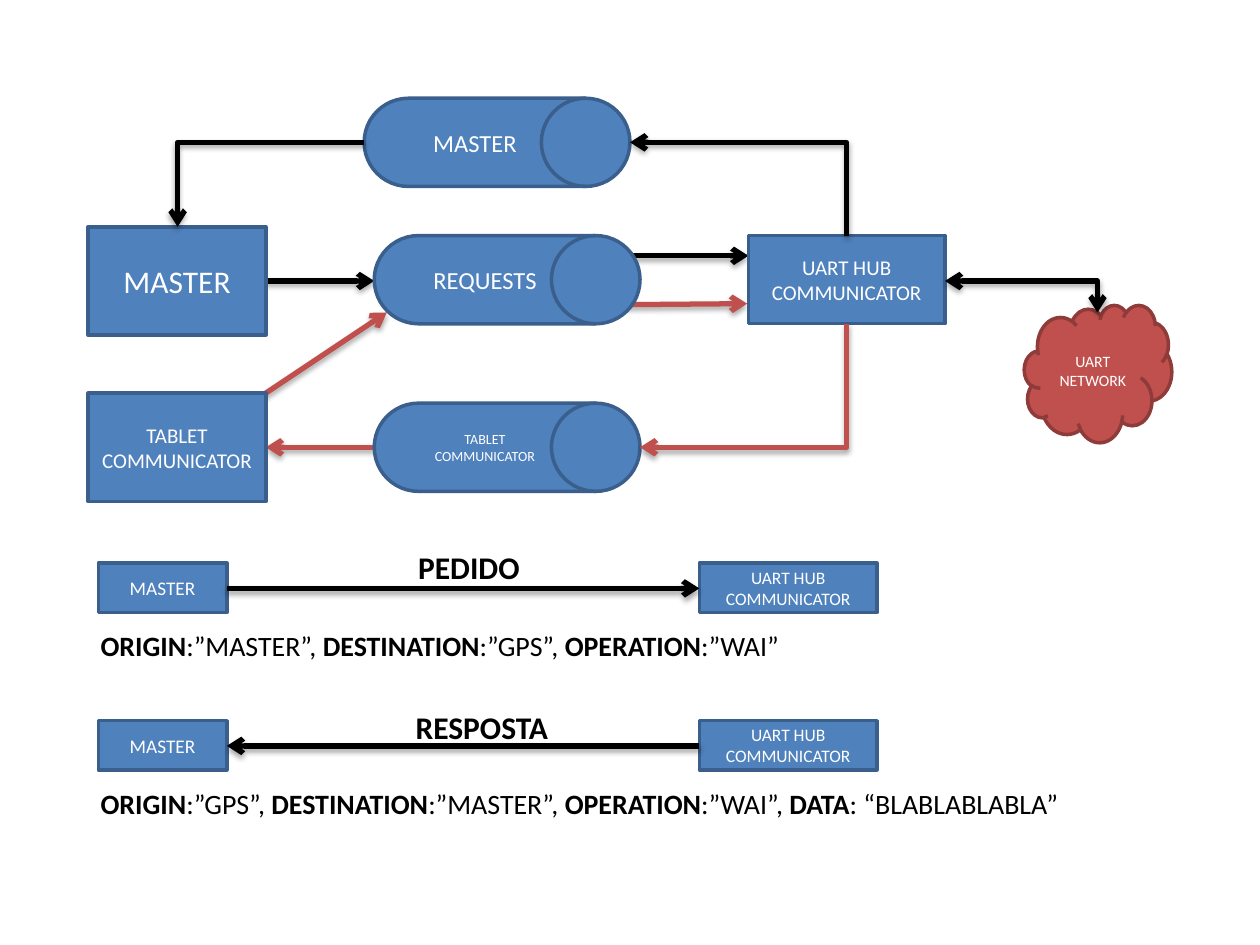
from dataclasses import dataclass
from lxml.etree import SubElement as Sub
from pptx import Presentation
from pptx.dml.color import RGBColor as RGB
from pptx.enum.shapes import MSO_CONNECTOR as Link, MSO_SHAPE as Form
from pptx.enum.text import MSO_ANCHOR as Anchor, MSO_AUTO_SIZE as Fit, PP_ALIGN as Align
from pptx.oxml.ns import qn
from pptx.util import Inches, Pt


@dataclass(frozen=True)
class Theme:
    font: str = "Calibri"
    blue: str = "4F81BD"
    navy: str = "3A5F8C"
    red: str = "C0504D"
    wine: str = "8E3B39"
    black: str = "000000"
    white: str = "FFFFFF"
    head: int = 18
    body: int = 16
    drum: int = 14
    node: int = 12
    side: int = 11
    hub: int = 10
    cloud: int = 9
    tiny: int = 8


THEME = Theme()
TOP, LEFT, BASE, RIGHT = range(4)
DRUM_END = 4
CLOUD_TOP = 3


def color(code):
    return RGB.from_string(code)


def add_run(para, text, size, tint, bold=False):
    run = para.add_run()
    run.text = text
    run.font.name = THEME.font
    run.font.size = Pt(size)
    run.font.bold = bold
    run.font.color.rgb = color(tint)


def add_node(slide, form, spot, text, size, fill=THEME.blue, edge=THEME.navy):
    node = slide.shapes.add_shape(form, *map(Inches, spot))
    node.shadow.inherit = False
    node.fill.solid()
    node.fill.fore_color.rgb = color(fill)
    node.line.color.rgb = color(edge)
    node.line.width = Pt(2)
    frame = node.text_frame
    frame.word_wrap = True
    frame.vertical_anchor = Anchor.MIDDLE
    para = frame.paragraphs[0]
    para.alignment = Align.CENTER
    add_run(para, text, size, THEME.white)
    return node


def add_label(slide, spot, parts, size):
    box = slide.shapes.add_textbox(*map(Inches, spot))
    frame = box.text_frame
    frame.word_wrap = False
    frame.auto_size = Fit.SHAPE_TO_FIT_TEXT
    for text, bold in parts:
        add_run(frame.paragraphs[0], text, size, THEME.black, bold)


def add_shade(props):
    effect = Sub(props, qn("a:effectLst"))
    shade = Sub(effect, qn("a:outerShdw"), blurRad="40000", dist="23000",
                dir="5400000", rotWithShape="0")
    tint = Sub(shade, qn("a:srgbClr"), val=THEME.black)
    Sub(tint, qn("a:alpha"), val="35000")


def add_arrow(slide, start, end, tint=THEME.black, tips=("tailEnd",), kind=Link.STRAIGHT):
    arrow = slide.shapes.add_connector(kind, *map(Inches, start + end))
    arrow.line.color.rgb = color(tint)
    arrow.line.width = Pt(3)
    props = arrow._element.spPr
    for tip in tips:
        Sub(props.find(qn("a:ln")), qn(f"a:{tip}"), type="arrow")
    add_shade(props)
    return arrow


def add_bend(slide, start, end, tint, tips, joins):
    bend = add_arrow(slide, start, end, tint, tips, Link.ELBOW)
    bend._element.spPr.find(qn("a:prstGeom")).set("prst", "bentConnector2")
    ends = bend._element.nvCxnSpPr.cNvCxnSpPr
    for tag, (node, site) in zip(("stCxn", "endCxn"), joins):
        Sub(ends, qn(f"a:{tag}"), id=str(node.shape_id), idx=str(site))


def add_flow(slide):
    for start, end, tint in (
        ((2.11, 2.23), (2.97, 2.23), THEME.black),
        ((4.84, 2.03), (5.94, 2.03), THEME.black),
        ((1.87, 3.28), (3.07, 2.48), THEME.red),
        ((4.77, 2.42), (5.93, 2.41), THEME.red),
        ((2.97, 3.55), (2.11, 3.55), THEME.red),
    ):
        add_arrow(slide, start, end, tint)

    box, drum = Form.RECTANGLE, Form.FLOWCHART_DIRECT_ACCESS_STORAGE
    master = add_node(slide, box, (0.7, 1.8, 1.41, 0.86), "MASTER", THEME.head)
    add_node(slide, box, (0.7, 3.12, 1.41, 0.86), "TABLET COMMUNICATOR", THEME.node)
    hub = add_node(slide, box, (5.94, 1.87, 1.56, 0.7), "UART HUB COMMUNICATOR", THEME.node)
    reply = add_node(slide, drum, (2.89, 0.78, 2.11, 0.7), "MASTER", THEME.drum)
    add_node(slide, drum, (2.97, 1.87, 2.11, 0.7), "REQUESTS", THEME.drum)
    tablet = add_node(slide, drum, (2.97, 3.2, 2.11, 0.7), "TABLET COMMUNICATOR", THEME.tiny)
    cloud = add_node(slide, Form.CLOUD, (8.13, 2.42, 1.17, 1.09), "UART NETWORK",
                     THEME.cloud, THEME.red, THEME.wine)

    head, tail = ("headEnd",), ("tailEnd",)
    for bend in (
        ((2.89, 1.13), (1.41, 1.8), THEME.black, tail, ((reply, LEFT), (master, TOP))),
        ((5, 1.13), (6.72, 1.87), THEME.black, head, ((reply, DRUM_END), (hub, TOP))),
        ((5.08, 3.55), (6.72, 2.57), THEME.red, head, ((tablet, DRUM_END), (hub, BASE))),
        ((7.5, 2.23), (8.71, 2.48), THEME.black, head + tail,
         ((hub, RIGHT), (cloud, CLOUD_TOP))),
    ):
        add_bend(slide, *bend)


def add_call(slide, top, title, spot, tips, pairs, width):
    add_node(slide, Form.RECTANGLE, (0.78, top, 1.02, 0.39), "MASTER", THEME.side)
    add_node(slide, Form.RECTANGLE, (5.55, top, 1.41, 0.39), "UART HUB COMMUNICATOR", THEME.hub)
    add_arrow(slide, (1.8, top + 0.2), (5.55, top + 0.2), tips=tips)
    add_label(slide, spot, [(title, True)], THEME.head)
    parts = [part for key, value in pairs for part in ((key, True), (value, False))]
    add_label(slide, (0.7, top + 0.47, width, 0.37), parts, THEME.body)


def main():
    deck = Presentation()
    deck.slide_width, deck.slide_height = Inches(10), Inches(7.5)
    slide = deck.slides.add_slide(deck.slide_layouts[6])
    add_flow(slide)
    add_call(slide, 4.47, "PEDIDO", (3.22, 4.3, 1.02, 0.4), ("tailEnd",), (
        ("ORIGIN", ":”MASTER”, "),
        ("DESTINATION", ":”GPS”, "),
        ("OPERATION", ":”WAI”"),
    ), 5.65)
    add_call(slide, 5.72, "RESPOSTA", (3.2, 5.57, 1.26, 0.4), ("headEnd",), (
        ("ORIGIN", ":”GPS”, "),
        ("DESTINATION", ":”MASTER”, "),
        ("OPERATION", ":”WAI”, "),
        ("DATA", ": “BLABLABLABLA”"),
    ), 7.89)
    deck.save("out.pptx")


if __name__ == "__main__":
    main()
